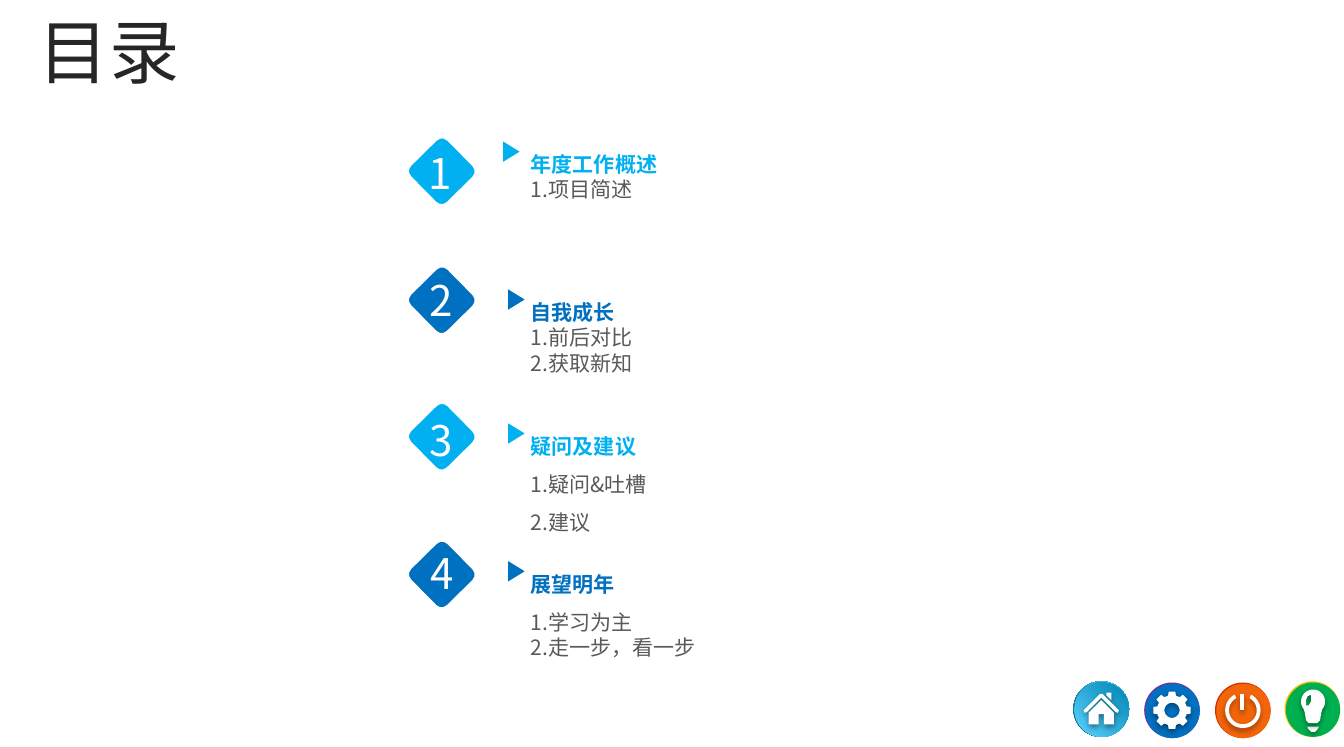
from dataclasses import dataclass
from math import cos, radians, sin

from lxml.etree import SubElement
from pptx import Presentation
from pptx.dml.color import RGBColor
from pptx.enum.shapes import MSO_SHAPE
from pptx.enum.text import MSO_AUTO_SIZE
from pptx.oxml.ns import qn
from pptx.util import Inches, Pt

FONT = "Noto Sans CJK SC"
COLORS = {
    "sky": "00B0F0", "blue": "0070C0", "body": "595959", "title": "262626",
    "white": "FFFFFF", "gold": "FFC000", "green": "00B050", "purple": "7030A0",
    "red": "CC3300", "orange": "F4650A", "teal": "005878", "aqua": "5DD4FF",
    "ocean": "0084B4", "black": "000000",
}
Points = list[tuple[float, float]]


@dataclass
class Section:
    color: str
    heading: str
    items: list[str]
    spacings: list[float]
    text_top: float
    arrow_left: float
    diamond_top: float
    number_left: float
    number_top: float


@dataclass
class Button:
    left: float
    top: float
    rim: list[str]
    face: list[str]
    outlines: list[list[Points]]


def color(name: str) -> RGBColor:
    return RGBColor.from_string(COLORS[name])


def arc(x: float, y: float, radius: float, start: float, end: float, steps: int = 40) -> Points:
    angles = [radians(start + (end - start) * step / steps) for step in range(steps + 1)]
    return [(x + radius * cos(angle), y + radius * sin(angle)) for angle in angles]


def gear(x: float, y: float, teeth: int = 8) -> Points:
    corners = [(-15, 0.12), (-10, 0.15), (10, 0.15), (15, 0.12)]
    return [
        (x + radius * cos(radians(tooth * 360 / teeth + turn)),
         y + radius * sin(radians(tooth * 360 / teeth + turn)))
        for tooth in range(teeth) for turn, radius in corners
    ]


def paint(shape, names: list[str]) -> None:
    shape.shadow.inherit = False
    shape.line.fill.background()
    if len(names) == 1:
        shape.fill.solid()
        shape.fill.fore_color.rgb = color(names[0])
        return
    shape.fill.gradient()
    shape.fill.gradient_angle = 45
    for stop, name in zip(shape.fill.gradient_stops, names):
        stop.color.rgb = color(name)


def add_shadow(shape) -> None:
    effects = shape._element.spPr.find(qn("a:effectLst"))
    shadow = SubElement(effects, qn("a:outerShdw"), blurRad=str(Pt(3.1)),
                        dist=str(Pt(1.6)), dir="5400000", algn="t", rotWithShape="0")
    tint = SubElement(shadow, qn("a:srgbClr"), val=COLORS["black"])
    SubElement(tint, qn("a:alpha"), val="38000")


def add_outline(slide, contours: list[Points], name: str):
    scaled = [[(Inches(x), Inches(y)) for x, y in contour] for contour in contours]
    builder = slide.shapes.build_freeform(*scaled[0][0], scale=1.0)
    builder.add_line_segments(scaled[0][1:], close=True)
    for contour in scaled[1:]:
        builder.move_to(*contour[0])
        builder.add_line_segments(contour[1:], close=True)
    shape = builder.convert_to_shape()
    paint(shape, [name])
    return shape


def add_text(slide, box: tuple[float, float, float, float], lines: list[str],
             size: float, names: list[str], wrap: bool = False):
    frame = slide.shapes.add_textbox(*map(Inches, box)).text_frame
    frame.word_wrap = wrap
    frame.auto_size = MSO_AUTO_SIZE.SHAPE_TO_FIT_TEXT
    frame.text = "\n".join(lines)
    for paragraph, name in zip(frame.paragraphs, names):
        paragraph.font.size = Pt(size)
        paragraph.font.name = FONT
        paragraph.font.color.rgb = color(name)
        for run in paragraph.runs:
            SubElement(run._r.get_or_add_rPr(), qn("a:ea"), typeface=FONT)
    return frame


def add_section(slide, number: int, section: Section) -> None:
    lines = [section.heading, *section.items]
    names = [section.color] + ["body"] * len(section.items)
    height = 0.1 + 0.2 * sum(section.spacings)
    frame = add_text(slide, (4.1, section.text_top, 3.29, height), lines, 12, names, True)
    frame.paragraphs[0].font.bold = True
    for paragraph, spacing in zip(frame.paragraphs, section.spacings):
        paragraph.line_spacing = spacing

    left, top = section.arrow_left, section.text_top + 0.07
    add_outline(slide, [[(left, top), (left + 0.13, top + 0.08), (left, top + 0.16)]], section.color)

    diamond = slide.shapes.add_shape(
        MSO_SHAPE.ROUNDED_RECTANGLE, Inches(3.28), Inches(section.diamond_top), Inches(0.43), Inches(0.43))
    paint(diamond, [section.color])
    diamond.rotation = 315.5
    diamond.line.color.rgb = color("white")
    diamond.line.width = Pt(2)
    add_text(slide, (section.number_left, section.number_top, 0.4, 0.5), [str(number)], 24, ["white"])


def add_button(slide, button: Button) -> None:
    for inset, size, names in ((0, 0.44, button.rim), (0.01, 0.43, button.face)):
        disc = slide.shapes.add_shape(
            MSO_SHAPE.OVAL, Inches(button.left + inset), Inches(button.top + inset), Inches(size), Inches(size))
        paint(disc, names)
    for contours in button.outlines:
        add_shadow(add_outline(slide, contours, "white"))


SECTIONS = [
    Section("sky", "年度工作概述", ["1.项目简述"], [1.5, 1], 1.05, 3.98, 1.14, 3.29, 1.12),
    Section("blue", "自我成长", ["1.前后对比", "2.获取新知"], [1.5, 1, 1], 2.22, 4.02, 2.16, 3.3, 2.12),
    Section("sky", "疑问及建议", ["1.疑问&吐槽", "2.建议"], [1.5, 1.5, 1.5], 3.28, 4.02, 3.24, 3.3, 3.23),
    Section("blue", "展望明年", ["1.学习为主", "2.走一步，看一步"], [1.5, 1.5, 1], 4.37, 4.02, 4.33, 3.31, 4.28),
]

BULB = arc(10.385, 5.55, 0.095, 140, 400) + [
    (10.45, 5.64), (10.44, 5.7), (10.42, 5.72), (10.35, 5.72), (10.33, 5.7), (10.32, 5.64)]
BULB_GLINT = [(10.36, 5.5), (10.34, 5.51), (10.33, 5.54), (10.33, 5.58), (10.35, 5.58), (10.37, 5.55), (10.37, 5.5)]
BULB_BASE = [(10.34, 5.75), (10.43, 5.75), (10.42, 5.77), (10.4, 5.79), (10.37, 5.79), (10.35, 5.77)]
CHIMNEY = [(8.75, 5.48), (8.79, 5.48), (8.79, 5.54), (8.75, 5.5)]
ROOF = [(8.57, 5.62), (8.7, 5.49), (8.72, 5.49), (8.85, 5.62), (8.84, 5.64), (8.82, 5.63),
        (8.71, 5.52), (8.6, 5.63), (8.58, 5.64)]
WALLS = [(8.61, 5.64), (8.71, 5.54), (8.81, 5.64), (8.81, 5.73), (8.73, 5.73), (8.73, 5.65),
         (8.69, 5.65), (8.69, 5.73), (8.61, 5.73)]
POWER_BAR = [(9.81, 5.49), (9.84, 5.49), (9.84, 5.62), (9.81, 5.62)]
POWER_RING = arc(9.83, 5.62, 0.14, -62, 242) + arc(9.83, 5.62, 0.11, 242, -62)

BUTTONS = [
    Button(10.16, 5.39, ["gold"], ["green"], [[BULB_BASE], [BULB, BULB_GLINT]]),
    Button(9.05, 5.4, ["purple"], ["blue"], [[gear(9.27, 5.62), arc(9.27, 5.62, 0.06, 0, 360)]]),
    Button(8.49, 5.39, ["teal", "aqua"], ["aqua", "ocean"], [[CHIMNEY, ROOF, WALLS]]),
    Button(9.61, 5.4, ["red"], ["orange"], [[POWER_BAR], [POWER_RING]]),
]


def main() -> None:
    presentation = Presentation()
    presentation.slide_width, presentation.slide_height = Inches(10.63), Inches(5.91)
    slide = presentation.slides.add_slide(presentation.slide_layouts[6])
    for number, section in enumerate(SECTIONS, 1):
        add_section(slide, number, section)
    add_text(slide, (0.21, 0.02, 1.32, 0.77), ["目录"], 40, ["title"])
    for button in BUTTONS:
        add_button(slide, button)
    presentation.save("out.pptx")


if __name__ == "__main__":
    main()
